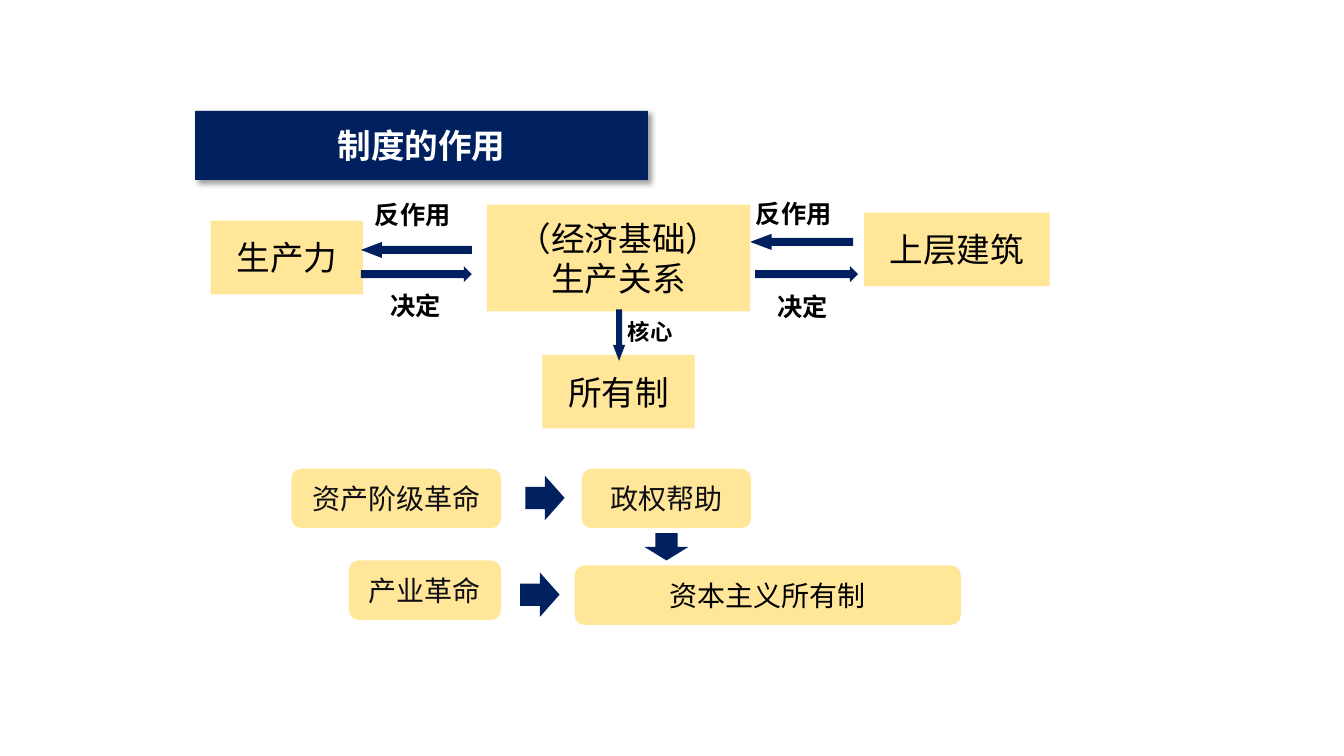
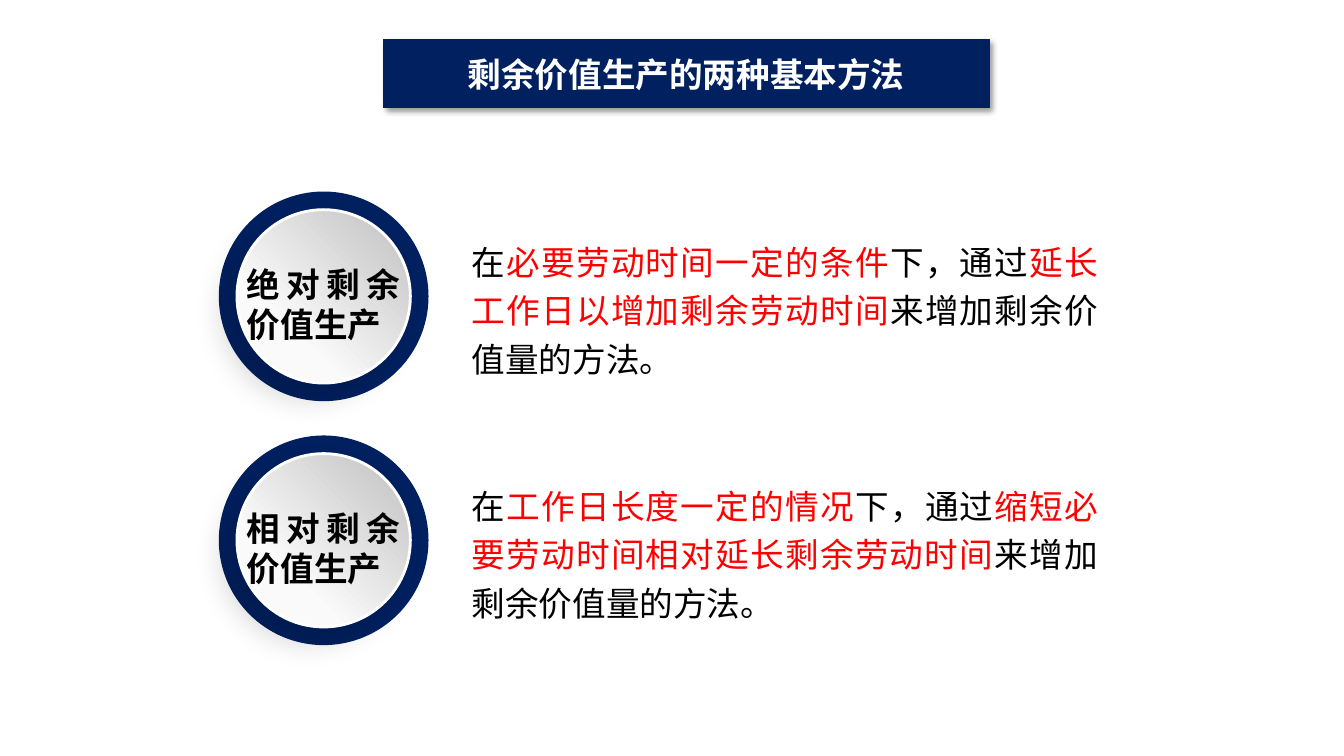
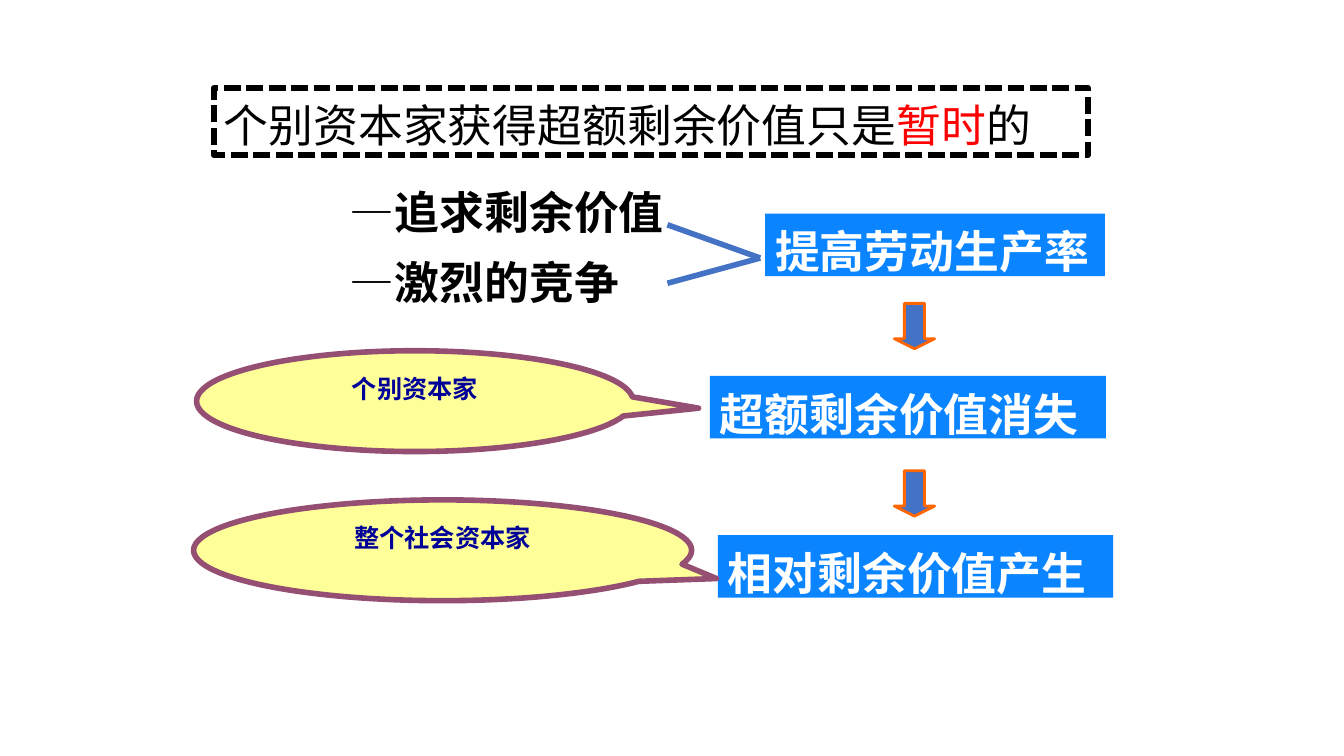
from pptx import Presentation
from pptx.dml.color import RGBColor
from pptx.enum.dml import MSO_LINE
from pptx.enum.shapes import MSO_CONNECTOR, MSO_SHAPE
from pptx.enum.text import MSO_ANCHOR, MSO_AUTO_SIZE, PP_ALIGN
from pptx.oxml.ns import qn
from pptx.util import Inches, Pt
from lxml import etree

RECT, ROUND, OVAL = MSO_SHAPE.RECTANGLE, MSO_SHAPE.ROUNDED_RECTANGLE, MSO_SHAPE.OVAL
CALLOUT = MSO_SHAPE.OVAL_CALLOUT
LEFT_ARROW, RIGHT_ARROW, DOWN_ARROW = MSO_SHAPE.LEFT_ARROW, MSO_SHAPE.RIGHT_ARROW, MSO_SHAPE.DOWN_ARROW
STRAIGHT, DASH = MSO_CONNECTOR.STRAIGHT, MSO_LINE.SQUARE_DOT
LEFT, CENTER, JUSTIFY = PP_ALIGN.LEFT, PP_ALIGN.CENTER, PP_ALIGN.JUSTIFY
TOP, MIDDLE = MSO_ANCHOR.TOP, MSO_ANCHOR.MIDDLE
NO_FIT = MSO_AUTO_SIZE.NONE
TITLE_ONLY, TITLE_AND_BODY = 5, 1


def rgb(color):
    return RGBColor.from_string(color)


class Deck:
    NAVY, CREAM, BLUE, AZURE = "002060", "FFE699", "4472C4", "0B85FF"
    BLACK, WHITE, RED, INK = "000000", "FFFFFF", "FF0000", "0E0E14"
    LATIN, CJK = "Arial", "Noto Sans CJK SC"

    def __init__(self):
        self.prs = Presentation()
        self.prs.slide_width, self.prs.slide_height = Inches(13.33), Inches(7.5)
        self.s = None

    def new_slide(self, layout=TITLE_ONLY):
        self.s = self.prs.slides.add_slide(self.prs.slide_layouts[layout])

    def place(self, sp, at):
        sp.left, sp.top, sp.width, sp.height = map(Inches, at)

    def paint(self, sp, fill=None, line=None, width=1):
        if fill:
            sp.fill.solid()
            sp.fill.fore_color.rgb = rgb(fill)
        else:
            sp.fill.background()
        if line:
            sp.line.color.rgb = rgb(line)
            sp.line.width = Pt(width)
        else:
            sp.line.fill.background()

    def shadow(self, sp, alpha, blur, dist, angle):
        sp.shadow.inherit = False
        effects = sp._element.spPr.find(qn("a:effectLst"))
        outer = etree.SubElement(effects, qn("a:outerShdw"), blurRad=str(Pt(blur)),
                                 dist=str(Pt(dist)), dir=str(angle * 60000),
                                 algn="tl", rotWithShape="0")
        color = etree.SubElement(outer, qn("a:srgbClr"), val=self.BLACK)
        etree.SubElement(color, qn("a:alpha"), val=str(alpha * 1000))

    def put_text(self, sp, paras, size, color=BLACK, bold=False, font=LATIN,
                 align=LEFT, anchor=TOP, spacing=1.0, before=0):
        """A paragraph is a string or a list of (text, colour, bold) runs."""
        tf = sp.text_frame
        tf.word_wrap, tf.auto_size, tf.vertical_anchor = True, NO_FIT, anchor
        for i, para in enumerate(paras):
            p = tf.paragraphs[0] if i == 0 else tf.add_paragraph()
            p.alignment, p.line_spacing, p.space_before = align, spacing, Pt(before)
            runs = [(para, color, bold)] if isinstance(para, str) else para
            for text, run_color, run_bold in runs:
                r = p.add_run()
                r.text = text
                r.font.size, r.font.bold, r.font.name = Pt(size), run_bold, font
                r.font.color.rgb = rgb(run_color)
                etree.SubElement(r._r.get_or_add_rPr(), qn("a:ea"), typeface=self.CJK)

    def title(self, at):
        sp = self.s.shapes.title
        self.place(sp, at)
        return sp

    def banner(self, at, text):
        sp = self.title(at)
        geom = etree.SubElement(sp._element.spPr, qn("a:prstGeom"), prst="roundRect")
        etree.SubElement(geom, qn("a:avLst"))
        self.paint(sp, self.NAVY, self.NAVY, 0.5)
        self.shadow(sp, 40, 4, 3, 45)
        self.put_text(sp, [text], 24, self.WHITE, True, self.CJK, CENTER, MIDDLE)

    def shape(self, kind, at, fill=None, line=None, width=1, adj=()):
        sp = self.s.shapes.add_shape(kind, *map(Inches, at))
        sp.shadow.inherit = False
        self.paint(sp, fill, line, width)
        for i, value in enumerate(adj):
            sp.adjustments[i] = value
        return sp

    def box(self, at, *lines, kind=RECT, size=24, color=BLACK, font=LATIN):
        sp = self.shape(kind, at, self.CREAM)
        self.put_text(sp, lines, size, color, font=font, align=CENTER, anchor=MIDDLE)

    def text(self, at, paras, size, **style):
        self.put_text(self.s.shapes.add_textbox(*map(Inches, at)), paras, size, **style)

    def body(self, at, paras, size, **style):
        sp = self.s.placeholders[1]
        self.place(sp, at)
        self.put_text(sp, paras, size, **style)
        for p in sp.text_frame.paragraphs:
            pPr = p._p.get_or_add_pPr()
            pPr.set("marL", "0")
            pPr.set("indent", "0")
            etree.SubElement(pPr, qn("a:buNone"))

    def line(self, start, end, color, width):
        c = self.s.shapes.add_connector(STRAIGHT, *map(Inches, start + end))
        c.line.color.rgb = rgb(color)
        c.line.width = Pt(width)
        etree.SubElement(c._element.spPr, qn("a:effectLst"))

    def disc(self, left, top, label):
        self.shape(OVAL, (left, top, 2.08, 2.08), self.NAVY)
        inner = self.shape(OVAL, (left + 0.18, top + 0.18, 1.72, 1.72), self.WHITE, self.WHITE, 2)
        inner.fill.gradient()
        inner.fill.gradient_angle = 225
        for stop, color, pos in zip(inner.fill.gradient_stops, ("BFBFBF", "FAFAFA"), (0, 0.7)):
            stop.color.rgb, stop.position = rgb(color), pos
        self.shadow(inner, 15, 20, 15, 135)
        self.text((left + 0.18, top + 0.67, 1.72, 0.91), [label], 24,
                  bold=True, font=self.CJK, align=JUSTIFY)


def role_of_system(d):
    d.new_slide()
    d.banner((1.94, 1.1, 4.48, 0.68), "制度的作用")

    # Productive forces, relations and superstructure
    d.box((2.09, 2.19, 1.51, 0.73), "生产力")
    d.box((4.83, 2.03, 2.61, 1.06), "（经济基础）", "生产关系")
    d.box((8.57, 2.11, 1.84, 0.73), "上层建筑")
    d.box((5.38, 3.52, 1.51, 0.73), "所有制")
    for left, top, text, size in ((3.62, 1.93, "反作用", 18), (7.4, 1.92, "反作用", 18),
                                  (3.77, 2.83, "决定", 18), (7.61, 2.84, "决定", 18),
                                  (6.13, 3.11, "核心", 16)):
        d.text((left, top, 1.34, 0.4), [text], size, bold=True)

    # Revolutions leading to capitalist ownership
    for at, text, color in (((2.89, 4.65, 2.08, 0.59), "资产阶级革命", d.INK),
                            ((5.77, 4.65, 1.68, 0.59), "政权帮助", d.INK),
                            ((3.46, 5.56, 1.51, 0.59), "产业革命", d.INK),
                            ((5.7, 5.61, 3.83, 0.59), "资本主义所有制", d.BLACK)):
        d.box(at, text, kind=ROUND, size=20, color=color, font=d.CJK)

    # Arrows of both diagrams
    for kind, at, head in ((LEFT_ARROW, (3.58, 2.4, 1.1, 0.16), 1.31),
                           (LEFT_ARROW, (7.44, 2.32, 1.02, 0.16), 1.33),
                           (RIGHT_ARROW, (3.58, 2.64, 1.1, 0.16), 0.5),
                           (RIGHT_ARROW, (7.49, 2.64, 1.02, 0.16), 0.5),
                           (DOWN_ARROW, (6.08, 3.07, 0.12, 0.51), 1.31),
                           (RIGHT_ARROW, (5.21, 4.72, 0.39, 0.44), 0.5),
                           (RIGHT_ARROW, (5.16, 5.68, 0.39, 0.44), 0.5),
                           (DOWN_ARROW, (6.39, 5.29, 0.44, 0.27), 0.5)):
        d.shape(kind, at, d.NAVY, adj=(0.5, head))


def two_methods(d):
    d.new_slide()
    d.banner((3.8, 0.39, 6.01, 0.68), "剩余价值生产的两种基本方法")
    methods = (("绝对剩余价值生产", "必要劳动时间一定的条件", "延长工作日以增加剩余劳动时间"),
               ("相对剩余价值生产", "工作日长度一定的情况", "缩短必要劳动时间相对延长剩余劳动时间"))
    for i, (label, condition, means) in enumerate(methods):
        top = 1.9 + 2.42 * i
        d.disc(2.17, top, label)
        runs = [("在", d.BLACK, False), (condition, d.RED, False),
                ("下，通过", d.BLACK, False), (means, d.RED, False),
                ("来增加剩余价值量的方法。", d.BLACK, False)]
        d.text((4.58, top + 0.37, 6.41, 1.51), [runs], 24, align=JUSTIFY, spacing=1.2)


def temporary_gain(d):
    d.new_slide(TITLE_AND_BODY)
    para = dict(align=JUSTIFY, spacing=1.1, before=8)

    # Dashed title
    title = d.title((2.12, 0.87, 8.67, 0.67))
    d.paint(title, None, d.BLACK, 4)
    title.line.dash_style = DASH
    d.put_text(title, [[("个别资本家获得超额剩余价值只是", d.BLACK, False),
                        ("暂时", d.RED, False), ("的", d.BLACK, False)]], 32, **para)

    # Two causes joined to the first result
    causes = ("追求剩余价值", "激烈的竞争")
    d.body((3.37, 1.73, 3.75, 1.54),
           [[("—", d.BLACK, False), (cause, d.BLACK, True)] for cause in causes], 32, **para)
    for y in (2.23, 2.81):
        d.line((6.62, y), (7.54, 2.56), d.BLUE, 4)

    # Chain of results
    for left, top, width, text in ((7.59, 2.12, 3.37, "提高劳动生产率"),
                                   (7.04, 3.73, 3.93, "超额剩余价值消失"),
                                   (7.12, 5.31, 3.92, "相对剩余价值产生")):
        sp = d.shape(RECT, (left, top, width, 0.62), d.AZURE)
        d.put_text(sp, [text], 32, d.WHITE, True, d.CJK, **para)
    for top in (3.01, 4.67):
        d.shape(DOWN_ARROW, (8.87, top, 0.4, 0.45), d.BLUE, "FF6600", 2, (0.5, 0.25))

    # Who is concerned
    for at, tip, text in (((1.95, 3.48, 4.33, 1), (0.65, 0.07), "个别资本家"),
                          ((1.92, 4.96, 4.94, 1), (0.55, 0.28), "整个社会资本家")):
        sp = d.shape(CALLOUT, at, "FFFF99", "954F72", 4, tip)
        d.put_text(sp, [text], 18, "000099", True, d.CJK, CENTER, spacing=1.1)


def main():
    d = Deck()
    role_of_system(d)
    two_methods(d)
    temporary_gain(d)
    d.prs.save("out.pptx")


if __name__ == "__main__":
    main()
